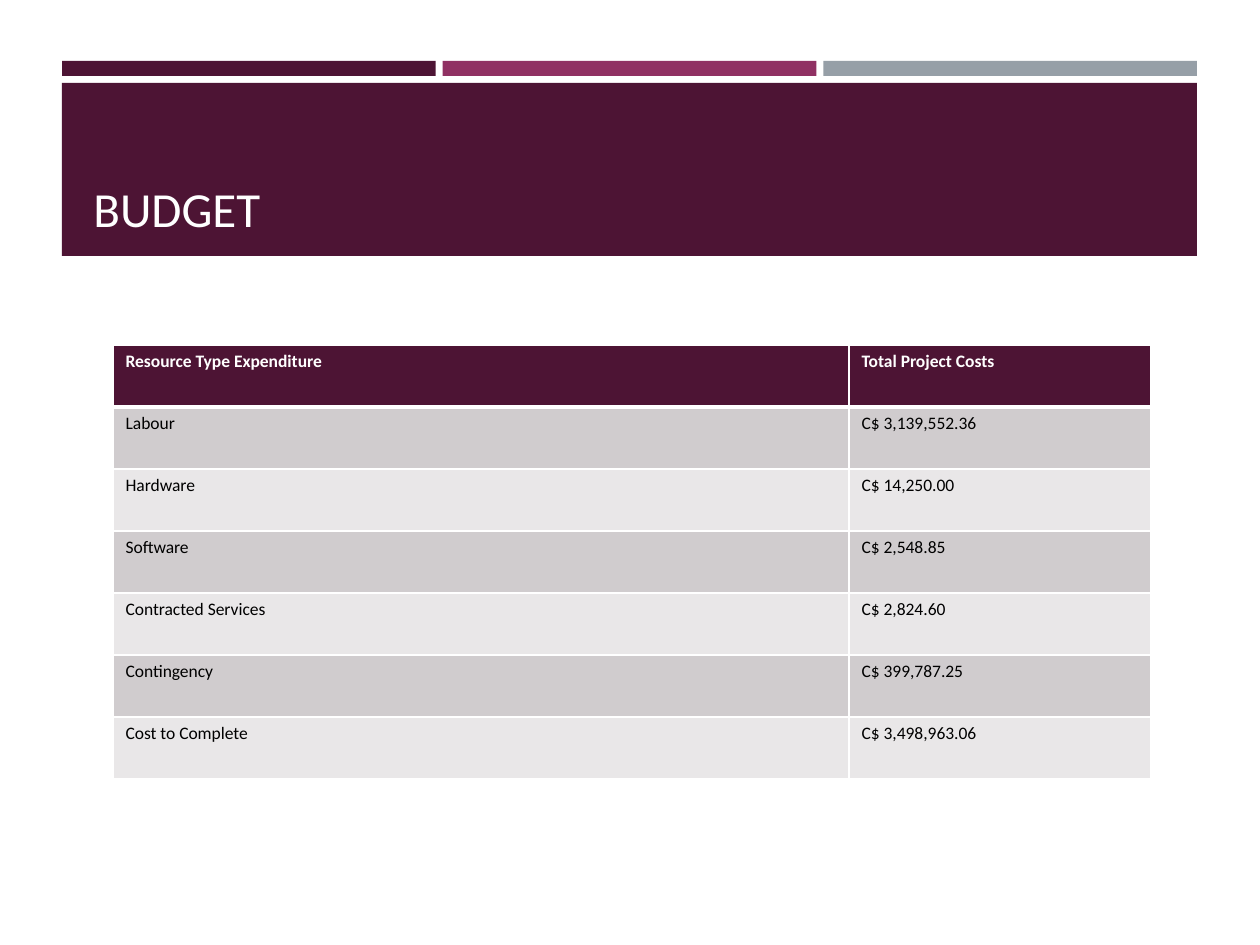
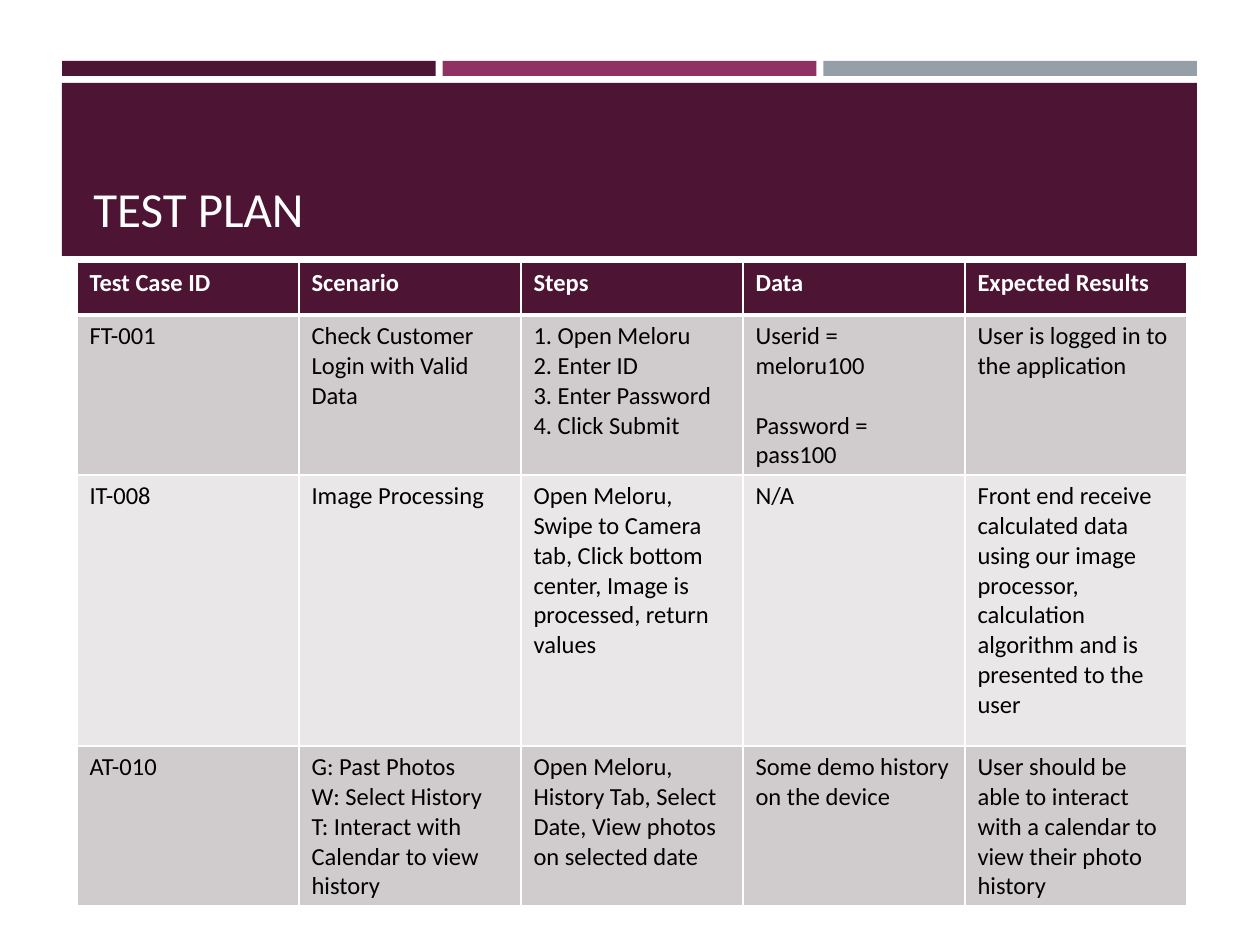
"""Build the budget and test plan slides."""
from lxml.etree import SubElement
from pptx import Presentation
from pptx.dml.color import RGBColor
from pptx.enum.shapes import MSO_SHAPE as Shape
from pptx.enum.text import MSO_ANCHOR as Anchor
from pptx.oxml.ns import qn
from pptx.util import Emu, Pt

EMU_PER_PX = 914400 / 126
FONT = "Calibri"
PLUM, MAGENTA, GREY = "4D1434", "903163", "969FA7"
WHITE, BLACK = "FFFFFF", "000000"
ROW_FILLS = ("D0CCCE", "E9E7E8")
BAND_LEFT, BAND_WIDTH, BAR_GAP = 62, 1135, 7
LINE_HEIGHT = 1.22

BUDGET = [
    ["Resource Type Expenditure", "Total Project Costs"],
    ["Labour", "C$ 3,139,552.36"],
    ["Hardware", "C$ 14,250.00"],
    ["Software", "C$ 2,548.85"],
    ["Contracted Services", "C$ 2,824.60"],
    ["Contingency", "C$ 399,787.25"],
    ["Cost to Complete", "C$ 3,498,963.06"],
]
TEST_PLAN = [
    ["Test Case ID", "Scenario", "Steps", "Data", "Expected Results"],
    ["FT-001", "Check Customer Login with Valid Data",
     "1. Open Meloru\n2. Enter ID\n3. Enter Password\n4. Click Submit",
     "Userid = meloru100\nPassword = pass100",
     "User is logged in to the application"],
    ["IT-008", "Image Processing",
     "Open Meloru, Swipe to Camera tab, Click bottom center, "
     "Image is processed, return values",
     "N/A",
     "Front end receive calculated data using our image processor, "
     "calculation algorithm and is presented to the user"],
    ["AT-010",
     "G: Past Photos\nW: Select History\n"
     "T: Interact with Calendar to view history",
     "Open Meloru, History Tab, Select Date, View photos on selected date",
     "Some demo history on the device",
     "User should be able to interact with a calendar "
     "to view their photo history"],
]


def px(length):
    """Turn pixels into EMU."""
    return Emu(round(length * EMU_PER_PX))


def color(code):
    """Turn a hex string into a colour."""
    return RGBColor.from_string(code)


def style(paragraph, size, code, bold=False):
    """Set the font of a paragraph."""
    font = paragraph.font
    font.name, font.size, font.bold = FONT, Pt(size), bold
    font.color.rgb = color(code)


def add_band(page, left, top, width, height, fill):
    """Draw a plain filled rectangle."""
    band = page.shapes.add_shape(
        Shape.RECTANGLE, px(left), px(top), px(width), px(height))
    band.shadow.inherit = False
    band.fill.solid()
    band.fill.fore_color.rgb = color(fill)
    band.line.fill.background()


def add_title(page, text):
    """Write the title at the foot of the title band."""
    box = page.shapes.add_textbox(px(81), px(95), px(1101), px(149))
    frame = box.text_frame
    frame.word_wrap = True
    frame.vertical_anchor = Anchor.BOTTOM
    frame.text = text
    style(frame.paragraphs[0], 28, WHITE)


def add_page(deck, title):
    """Add a slide with the three bars, the title band and the title."""
    page = deck.slides.add_slide(deck.slide_layouts[6])
    bar_width = (BAND_WIDTH - 2 * BAR_GAP) / 3
    for index, fill in enumerate((PLUM, MAGENTA, GREY)):
        left = BAND_LEFT + index * (bar_width + BAR_GAP)
        add_band(page, left, 61, bar_width, 15, fill)
    add_band(page, BAND_LEFT, 83, BAND_WIDTH, 173, PLUM)
    add_title(page, title)
    return page


def set_borders(cell, top, bottom):
    """Give a cell white borders, with top and bottom widths in points."""
    properties = cell._tc.get_or_add_tcPr()
    sides = {"L": 1, "R": 1, "T": top, "B": bottom}
    for index, (side, width) in enumerate(sides.items()):
        line = SubElement(properties, qn(f"a:ln{side}"), w=str(Pt(width)))
        fill = SubElement(line, qn("a:solidFill"))
        SubElement(fill, qn("a:srgbClr"), val=WHITE)
        properties.insert(index, line)


def fill_cell(cell, text, row, size):
    """Write and format one cell by the row it stands in."""
    header = row == 0
    cell.text = text
    for paragraph in cell.text_frame.paragraphs:
        style(paragraph, size, WHITE if header else BLACK, header)
    cell.fill.solid()
    cell.fill.fore_color.rgb = color(PLUM if header else ROW_FILLS[(row - 1) % 2])
    set_borders(cell, 3 if row == 1 else 1, 3 if header else 1)


def add_grid(page, left, top, widths, heights, rows, size):
    """Add a table with a dark header and alternating rows."""
    table = page.shapes.add_table(
        len(rows), len(widths), px(left), px(top),
        px(sum(widths)), px(sum(heights))).table
    for column, width in zip(table.columns, widths):
        column.width = px(width)
    for row, (height, texts) in enumerate(zip(heights, rows)):
        table.rows[row].height = px(height)
        for column, text in enumerate(texts):
            fill_cell(table.cell(row, column), text, row, size)
    return table


def main():
    """Build and save the deck."""
    deck = Presentation()
    deck.slide_width, deck.slide_height = px(1260), px(945)

    budget_page = add_page(deck, "BUDGET")
    add_grid(budget_page, 113, 345, [736, 302], [62] * len(BUDGET), BUDGET, 10)

    test_page = add_page(deck, "TEST PLAN")
    tests = add_grid(test_page, 77, 262, [222] * 5, [53, 150, 271, 150],
                     TEST_PLAN, 14)
    password = tests.cell(1, 3).text_frame.paragraphs[1]
    password.space_before = Pt(round(14 * LINE_HEIGHT))

    deck.save("out.pptx")


if __name__ == "__main__":
    main()
